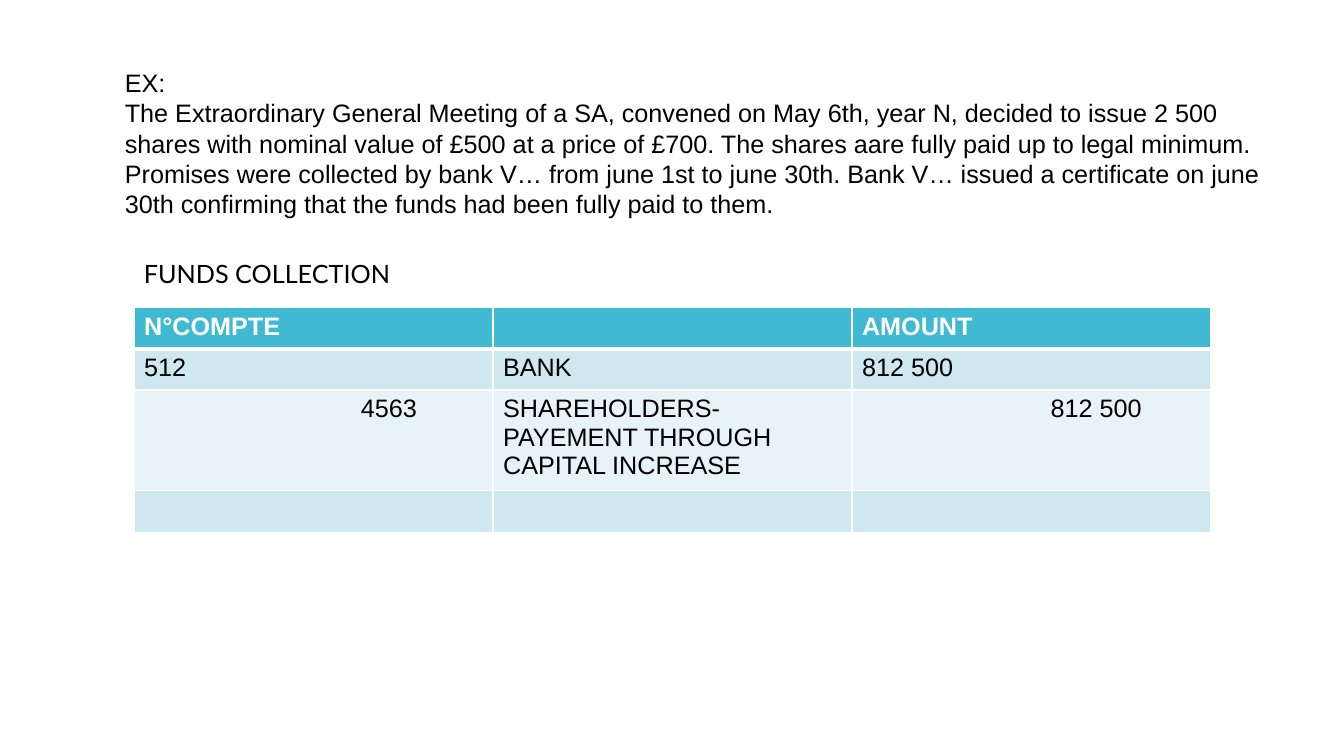
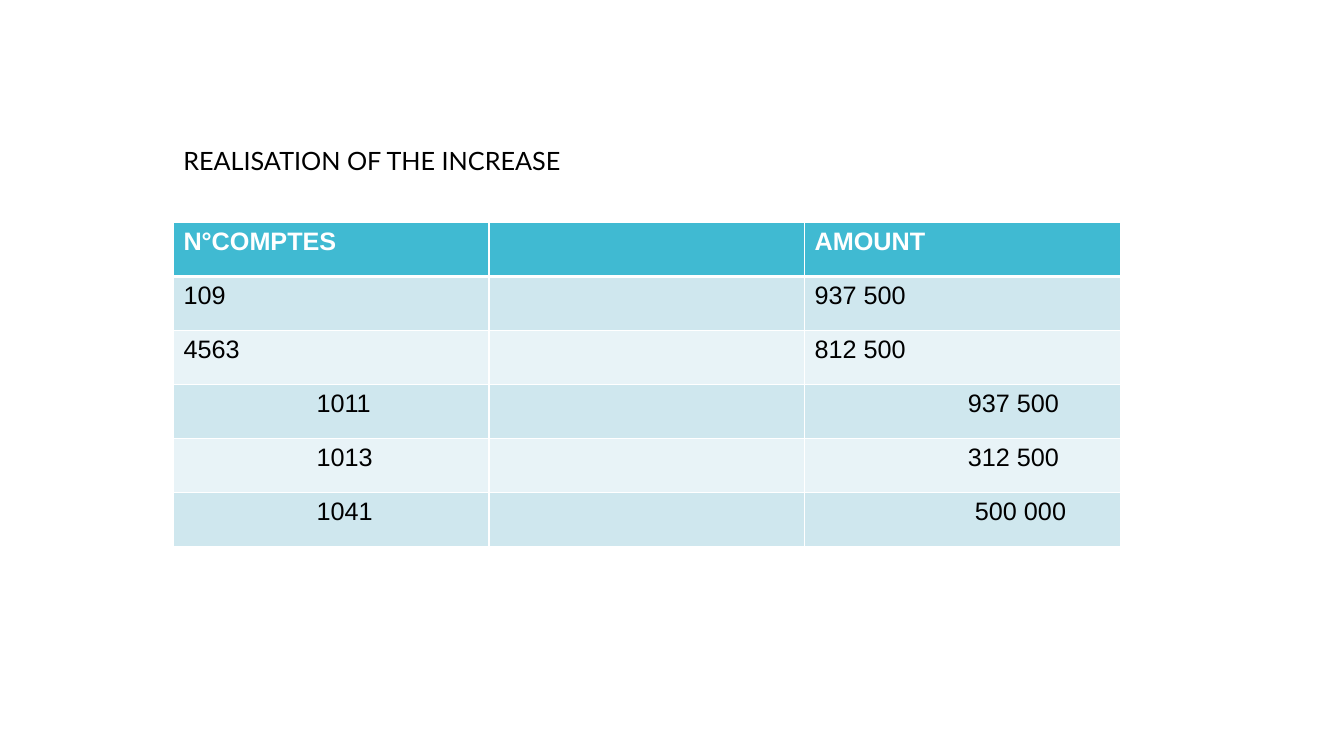
from dataclasses import dataclass

from lxml import etree
from pptx import Presentation
from pptx.dml.color import RGBColor
from pptx.enum import text
from pptx.oxml import ns
from pptx.util import Inches, Length, Pt

WHITE = RGBColor(0xFF, 0xFF, 0xFF)
BLACK = RGBColor(0x00, 0x00, 0x00)
HEADER_FILL = RGBColor(0x40, 0xBA, 0xD2)
BAND_FILLS = (RGBColor(0xE8, 0xF3, 0xF7), RGBColor(0xCF, 0xE7, 0xEE))
BODY_FONT = "Arial"
HEADING_FONT = "Lato"
TEXT_SIZE = Pt(18)
LINE_PITCH = Pt(21.6)
THIN = Pt(1)
THICK = Pt(3)
CELL_MARGIN = Inches(0.1)


@dataclass(frozen=True)
class TextBlock:
    left: Length
    top: Length
    width: Length
    height: Length
    font: str
    paragraphs: tuple[str, ...]


@dataclass(frozen=True)
class Entry:
    account: str = ""
    label: str = ""
    amount: str = ""
    account_indent: Length = CELL_MARGIN
    amount_indent: Length = CELL_MARGIN


@dataclass(frozen=True)
class Journal:
    left: Length
    top: Length
    column_width: Length
    row_heights: tuple[Length, ...]
    entries: tuple[Entry, ...]


@dataclass(frozen=True)
class Page:
    texts: tuple[TextBlock, ...]
    journal: Journal


PAGES = (
    Page(
        texts=(
            TextBlock(
                Inches(1.14), Inches(0.62), Inches(11.54), Inches(1.62), BODY_FONT,
                (
                    "EX:",
                    "The Extraordinary General Meeting of a SA, convened on May 6th, year N, "
                    "decided to issue 2 500 shares with nominal value of £500 at a price of "
                    "£700. The shares aare fully paid up to legal minimum. Promises were "
                    "collected by bank V… from june 1st to june 30th. Bank V… issued a "
                    "certificate on june 30th confirming that the funds had been fully paid "
                    "to them.",
                ),
            ),
            TextBlock(
                Inches(1.33), Inches(2.51), Inches(7.54), Inches(0.4), HEADING_FONT,
                ("FUNDS COLLECTION",),
            ),
        ),
        journal=Journal(
            Inches(1.33), Inches(3.05), Inches(3.56),
            (Inches(0.41), Inches(0.41), Inches(1), Inches(0.41)),
            (
                Entry("N°COMPTE", "", "AMOUNT"),
                Entry("512", "BANK", "812 500"),
                Entry(
                    "4563", "SHAREHOLDERS-PAYEMENT THROUGH CAPITAL INCREASE", "812 500",
                    Inches(2.25), Inches(1.97),
                ),
                Entry(),
            ),
        ),
    ),
    Page(
        texts=(
            TextBlock(
                Inches(1.72), Inches(1.39), Inches(8.14), Inches(0.4), HEADING_FONT,
                ("REALISATION OF THE INCREASE",),
            ),
        ),
        journal=Journal(
            Inches(1.72), Inches(2.21), Inches(3.13),
            (Inches(0.535),) * 6,
            (
                Entry("N°COMPTES", "", "AMOUNT"),
                Entry("109", "", "937 500"),
                Entry("4563", "", "812 500"),
                Entry("1011", "", "937 500", Inches(1.42), Inches(1.62)),
                Entry("1013", "", "312 500", Inches(1.42), Inches(1.62)),
                Entry("1041", "", "500 000", Inches(1.42), Inches(1.69)),
            ),
        ),
    ),
)


def add_run(paragraph, content: str, font: str, color: RGBColor, bold: bool = False) -> None:
    run = paragraph.add_run()
    run.text = content
    run.font.name = font
    run.font.size = TEXT_SIZE
    run.font.bold = bold
    run.font.color.rgb = color


def draw_text(slide, block: TextBlock) -> None:
    shape = slide.shapes.add_textbox(block.left, block.top, block.width, block.height)
    frame = shape.text_frame
    frame.word_wrap = True
    frame.auto_size = text.MSO_AUTO_SIZE.SHAPE_TO_FIT_TEXT
    for index, content in enumerate(block.paragraphs):
        paragraph = frame.add_paragraph() if index else frame.paragraphs[0]
        paragraph.line_spacing = LINE_PITCH
        add_run(paragraph, content, block.font, BLACK)


def set_borders(cell, top: Length, bottom: Length) -> None:
    properties = cell._tc.get_or_add_tcPr()
    sides = (("lnL", THIN), ("lnR", THIN), ("lnT", top), ("lnB", bottom))
    for position, (side, width) in enumerate(sides):
        line = etree.Element(ns.qn(f"a:{side}"), w=str(int(width)))
        fill = etree.SubElement(line, ns.qn("a:solidFill"))
        etree.SubElement(fill, ns.qn("a:srgbClr"), val=str(WHITE))
        properties.insert(position, line)


def draw_journal(slide, journal: Journal) -> None:
    shape = slide.shapes.add_table(
        len(journal.entries), 3, journal.left, journal.top,
        journal.column_width * 3, sum(journal.row_heights),
    )
    table = shape.table
    table.first_row = False
    table.horz_banding = False
    for column in table.columns:
        column.width = journal.column_width
    for row_index, entry in enumerate(journal.entries):
        table.rows[row_index].height = journal.row_heights[row_index]
        header = row_index == 0
        values = (
            (entry.account, entry.account_indent),
            (entry.label, CELL_MARGIN),
            (entry.amount, entry.amount_indent),
        )
        for column_index, (content, indent) in enumerate(values):
            cell = table.cell(row_index, column_index)
            cell.margin_left = indent
            cell.fill.solid()
            cell.fill.fore_color.rgb = HEADER_FILL if header else BAND_FILLS[row_index % 2]
            set_borders(cell, THICK if row_index == 1 else THIN, THICK if header else THIN)
            if content:
                color = WHITE if header else BLACK
                add_run(cell.text_frame.paragraphs[0], content, BODY_FONT, color, header)


def main() -> None:
    presentation = Presentation()
    presentation.slide_width = Inches(13.33)
    presentation.slide_height = Inches(7.5)
    for page in PAGES:
        slide = presentation.slides.add_slide(presentation.slide_layouts[6])
        for block in page.texts:
            draw_text(slide, block)
        draw_journal(slide, page.journal)
    presentation.save("out.pptx")


if __name__ == "__main__":
    main()
